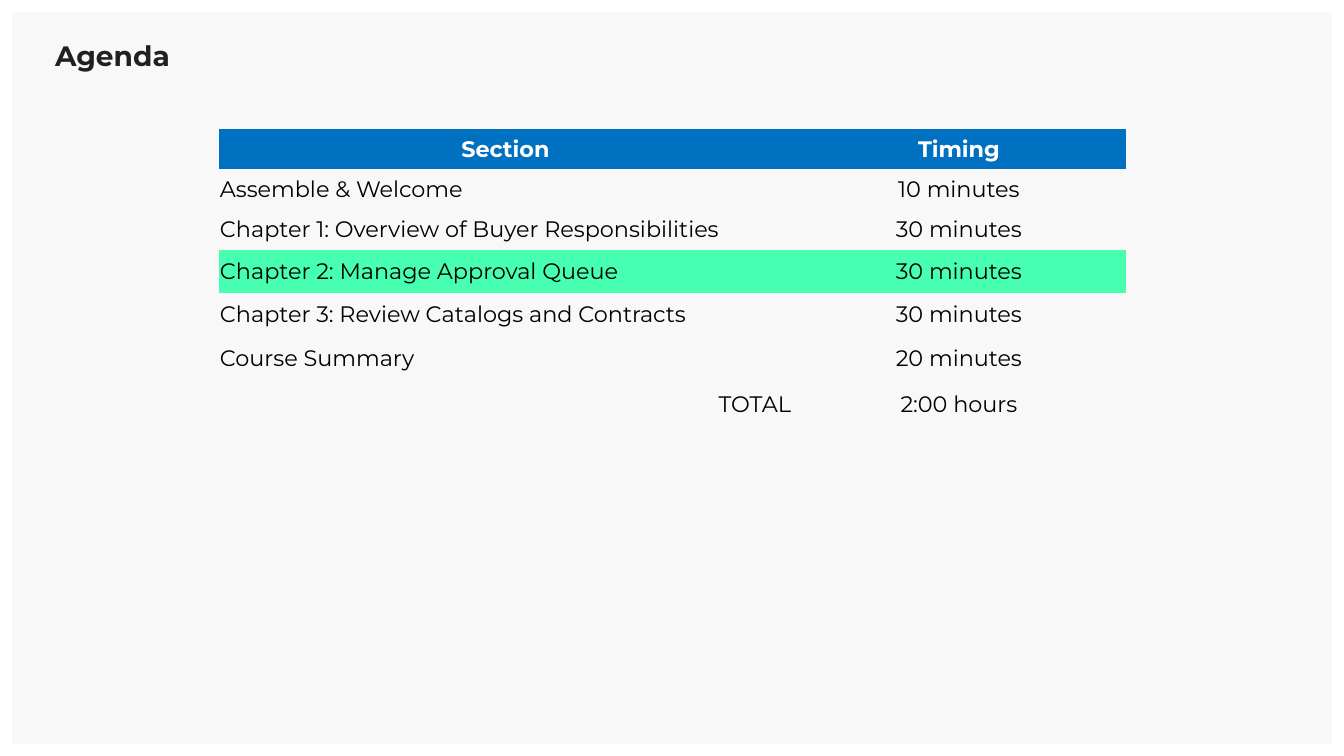
import pptx
import pptx.util
from pptx.dml.color import RGBColor
from pptx.enum.shapes import MSO_SHAPE
from pptx.enum.text import MSO_ANCHOR, PP_ALIGN
from pptx.oxml.ns import qn

TITLE = "Agenda"
HEADER = ("Section", "Timing")
SECTIONS = [
    ("Assemble & Welcome", "10 minutes"),
    ("Chapter 1: Overview of Buyer Responsibilities", "30 minutes"),
    ("Chapter 2: Manage Approval Queue", "30 minutes"),
    ("Chapter 3: Review Catalogs and Contracts", "30 minutes"),
    ("Course Summary", "20 minutes"),
]
TOTAL = ("TOTAL", "2:00 hours")
CURRENT_ROW = 3

FONT = "Montserrat"
PANEL_GREY = RGBColor(0xF8, 0xF8, 0xF8)
TITLE_INK = RGBColor(0x20, 0x20, 0x20)
HEADER_BLUE = RGBColor(0x00, 0x70, 0xC0)
CURRENT_GREEN = RGBColor(0x47, 0xFF, 0xB0)
WHITE = RGBColor(0xFF, 0xFF, 0xFF)
BLACK = RGBColor(0x00, 0x00, 0x00)

SLIDE_SIZE = (1344, 756)
PANEL_MARGIN = 12
TITLE_BOX = (55, 35, 1234, 37)
TABLE_ORIGIN = (219, 129)
COLUMN_WIDTHS = (573, 334)
ROW_HEIGHTS = (40, 40, 41, 43, 43, 45, 47)
CELL_INSET = 1
NO_STYLE = "{2D5ABB26-0587-4C30-8999-92F81FD0307C}"


def px(length):
    """Turn a length at 100.8 px to the inch into EMU."""
    return pptx.util.Emu(round(length * 914400 / 100.8))


def add_run(paragraph, text, size, color, bold):
    run = paragraph.add_run()
    run.text = text
    run.font.name = FONT
    run.font.size = pptx.util.Pt(size)
    run.font.color.rgb = color
    run.font.bold = bold


def add_panel(slide):
    width, height = (side - 2 * PANEL_MARGIN for side in SLIDE_SIZE)
    panel = slide.shapes.add_shape(
        MSO_SHAPE.RECTANGLE, px(PANEL_MARGIN), px(PANEL_MARGIN), px(width), px(height))
    panel.shadow.inherit = False
    panel.fill.solid()
    panel.fill.fore_color.rgb = PANEL_GREY
    panel.line.fill.background()


def add_title(slide):
    frame = slide.shapes.add_textbox(*map(px, TITLE_BOX)).text_frame
    frame.word_wrap = True
    frame.margin_left = frame.margin_right = frame.margin_top = frame.margin_bottom = 0
    paragraph = frame.paragraphs[0]
    paragraph.line_spacing = 1.1
    add_run(paragraph, TITLE, 20, TITLE_INK, True)


def fill_cell(cell, text, alignment, is_header, fill_color):
    cell.vertical_anchor = MSO_ANCHOR.MIDDLE
    cell.margin_left = cell.margin_right = cell.margin_top = px(CELL_INSET)
    cell.margin_bottom = 0
    if fill_color is None:
        cell.fill.background()
    else:
        cell.fill.solid()
        cell.fill.fore_color.rgb = fill_color
    paragraph = cell.text_frame.paragraphs[0]
    paragraph.alignment = alignment
    add_run(paragraph, text, 16, WHITE if is_header else BLACK, is_header)


def add_agenda_table(slide):
    rows = [HEADER, *SECTIONS, TOTAL]
    table = slide.shapes.add_table(
        len(rows), len(HEADER), *map(px, TABLE_ORIGIN),
        px(sum(COLUMN_WIDTHS)), px(sum(ROW_HEIGHTS))).table
    table.horz_banding = False
    table._tbl.tblPr.find(qn("a:tableStyleId")).text = NO_STYLE
    for column, width in zip(table.columns, COLUMN_WIDTHS):
        column.width = px(width)
    for row, height in zip(table.rows, ROW_HEIGHTS):
        row.height = px(height)

    row_fills = {0: HEADER_BLUE, CURRENT_ROW: CURRENT_GREEN}
    section_alignments = {0: PP_ALIGN.CENTER, len(rows) - 1: PP_ALIGN.RIGHT}
    for index, row in enumerate(rows):
        alignments = (section_alignments.get(index, PP_ALIGN.LEFT), PP_ALIGN.CENTER)
        for column, (text, alignment) in enumerate(zip(row, alignments)):
            fill_cell(table.cell(index, column), text, alignment,
                      index == 0, row_fills.get(index))


def main():
    presentation = pptx.Presentation()
    presentation.slide_width, presentation.slide_height = map(px, SLIDE_SIZE)
    slide = presentation.slides.add_slide(presentation.slide_layouts[6])
    add_panel(slide)
    add_title(slide)
    add_agenda_table(slide)
    presentation.save("out.pptx")


if __name__ == "__main__":
    main()
